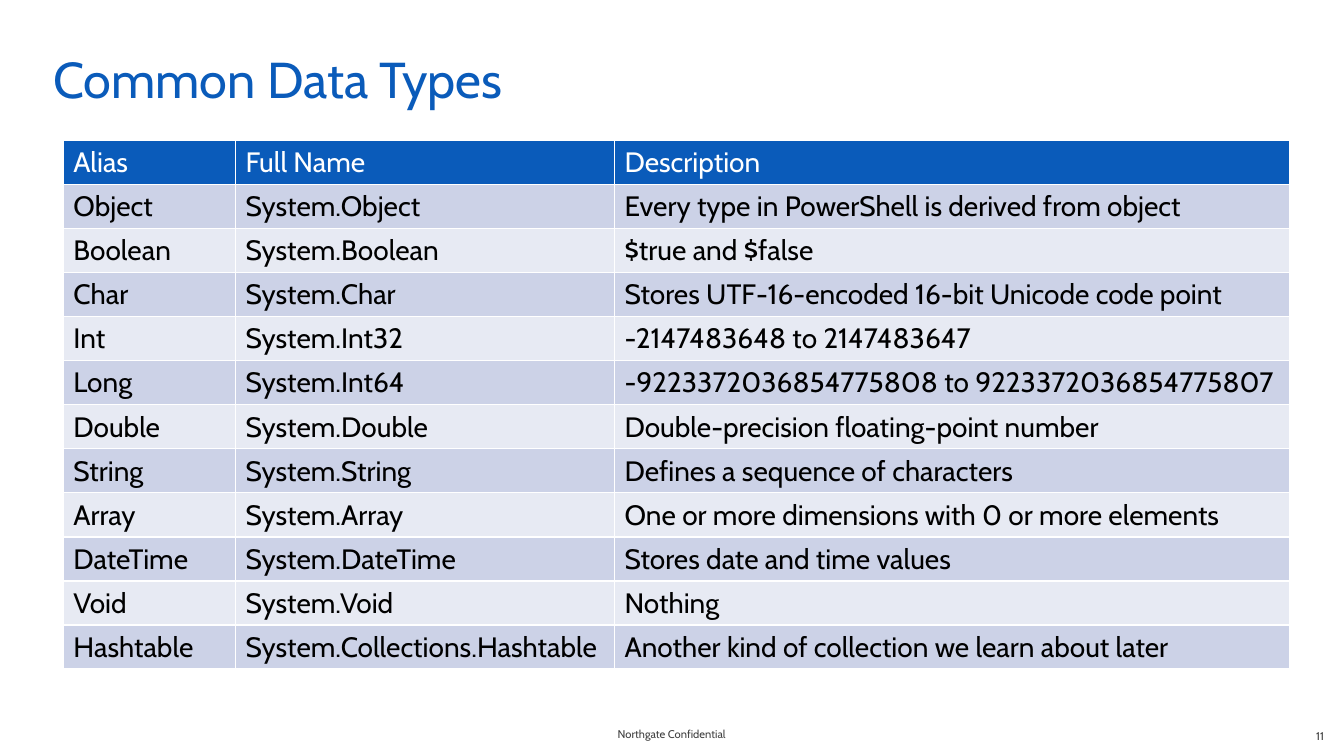
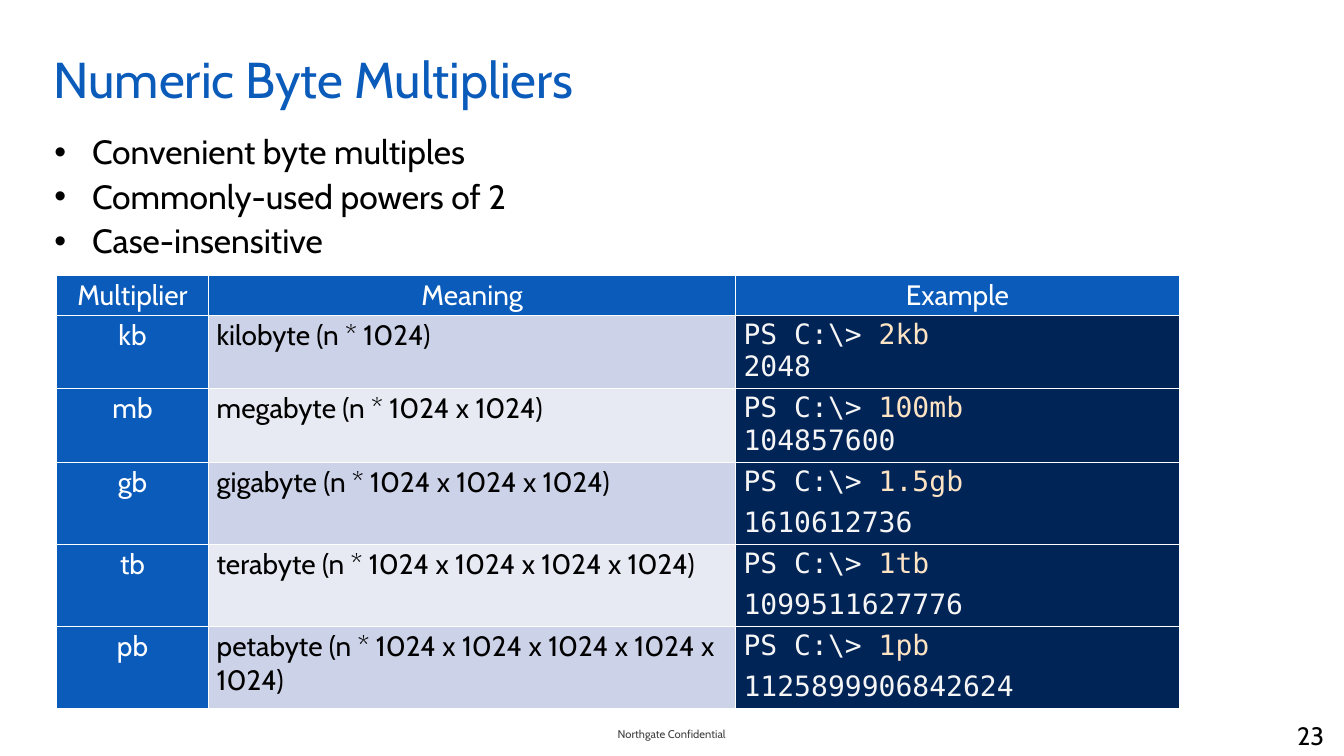
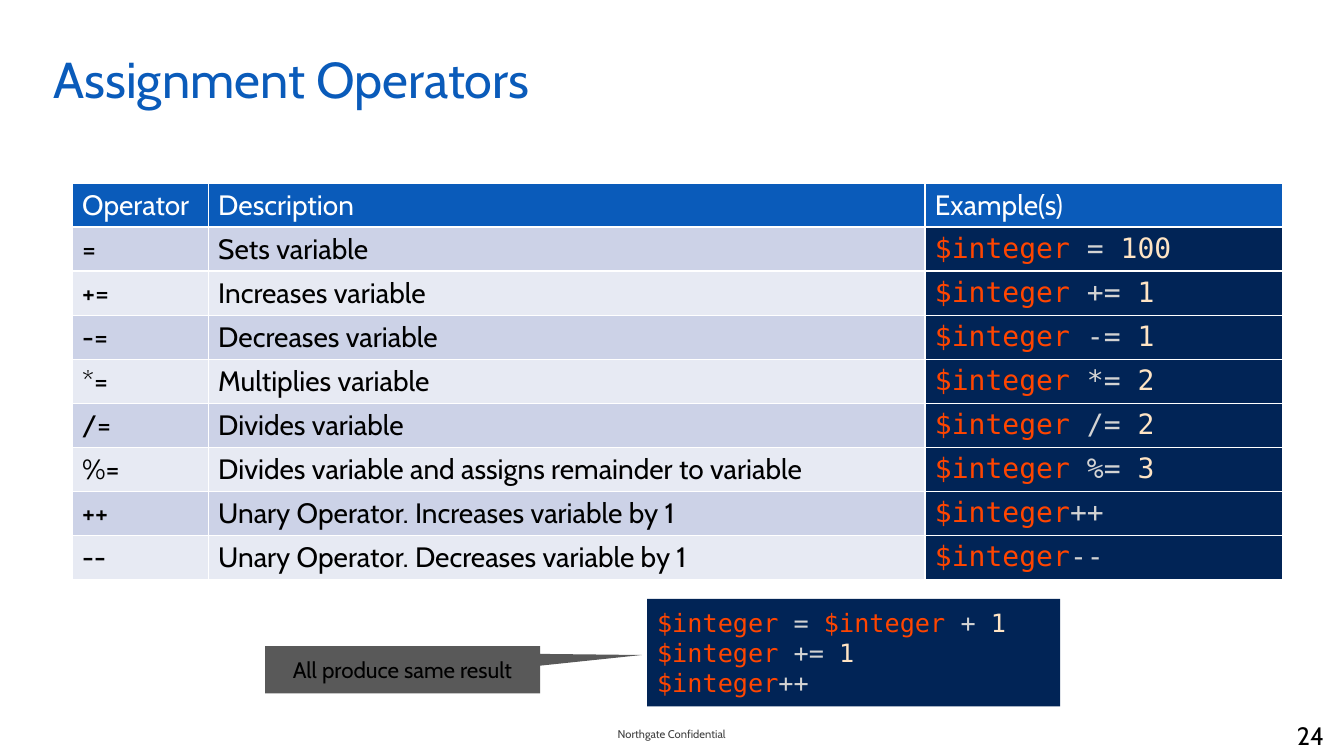
from lxml import etree
from pptx import Presentation
from pptx import util as u
from pptx.dml.color import RGBColor
from pptx.enum import shapes, text
from pptx.oxml import ns

BLUE = RGBColor(0x0A, 0x5B, 0xBA)
NAVY = RGBColor(0x01, 0x24, 0x56)
BAND_DARK = RGBColor(0xCC, 0xD2, 0xE7)
BAND_LIGHT = RGBColor(0xE7, 0xEA, 0xF3)
WHITE = RGBColor(0xFF, 0xFF, 0xFF)
BLACK = RGBColor(0, 0, 0)
GREY = RGBColor(0x59, 0x59, 0x59)
FOOTER_GREY = RGBColor(0x3F, 0x3F, 0x3F)
PROMPT = RGBColor(0xF5, 0xF5, 0xF5)
VARIABLE = RGBColor(0xFF, 0x45, 0x00)
OPERATOR = RGBColor(0xD3, 0xD3, 0xD3)
NUMBER = RGBColor(0xFF, 0xE4, 0xC4)

SANS = "Cabin"
MONO = "DejaVu Sans Mono"
LEFT, CENTER, RIGHT = (text.PP_ALIGN.LEFT, text.PP_ALIGN.CENTER,
                       text.PP_ALIGN.RIGHT)
TOP, MIDDLE = text.MSO_ANCHOR.TOP, text.MSO_ANCHOR.MIDDLE


def margins(left, top, right, bottom):
    return {"margin_left": u.Cm(left), "margin_top": u.Cm(top),
            "margin_right": u.Cm(right), "margin_bottom": u.Cm(bottom)}


STANDARD = margins(0.25, 0.13, 0.25, 0.13)
TIGHT = margins(0.2, 0.08, 0.2, 0.08)
FOOTER_FRAME = {"word_wrap": True, "vertical_anchor": MIDDLE,
                **margins(0.51, 0.13, 0.51, 0.13)}
TITLE_FRAME = {"word_wrap": True, "vertical_anchor": TOP,
               "auto_size": text.MSO_AUTO_SIZE.NONE,
               **margins(0.51, 0.38, 0.25, 0.13)}


def apply(target, values):
    for name, value in values.items():
        setattr(target, name, value)


def place(left, top, width, height):
    return [u.Cm(value) for value in (left, top, width, height)]


def write(frame, lines, size, face=SANS, align=LEFT, after=0, before=0):
    for index, spans in enumerate(lines):
        para = frame.paragraphs[0] if index == 0 else frame.add_paragraph()
        apply(para, {"alignment": align, "space_after": u.Pt(after),
                     "space_before": u.Pt(before)})
        for words, colour in spans:
            span = para.add_run()
            span.text = words
            apply(span.font, {"name": face, "size": u.Pt(size), "bold": False})
            span.font.color.rgb = colour


def add_text(page, area, lines, size, frame_format, **style):
    box = page.shapes.add_textbox(*place(*area))
    apply(box.text_frame, frame_format)
    write(box.text_frame, lines, size, **style)
    return box


def add_page(deck, heading, number, number_size, number_colour):
    page = deck.slides.add_slide(deck.slide_layouts[5])
    title = page.shapes.title
    apply(title, dict(zip(("left", "top", "width", "height"),
                          place(0.84, 0.84, 31.32, 1.9))))
    apply(title.text_frame, TITLE_FRAME)
    write(title.text_frame, [[(heading, BLUE)]], 36)
    add_text(page, (12.98, 17.98, 7.9, 1.02),
             [[("Northgate Confidential", FOOTER_GREY)]], 8, FOOTER_FRAME,
             align=CENTER)
    add_text(page, (25.98, 18.03, 7.9, 1.02), [[(number, number_colour)]],
             number_size, FOOTER_FRAME, align=RIGHT)
    return page


def add_bullets(page, area, items):
    box = add_text(page, area, [[(item, BLACK)] for item in items], 24,
                   {"word_wrap": True, **STANDARD}, before=3)
    for para in box.text_frame.paragraphs:
        properties = para._p.get_or_add_pPr()
        properties.set("marL", str(u.Cm(0.95)))
        properties.set("indent", str(-u.Cm(0.95)))
        for tag, name, value in (("a:buFont", "typeface", "Arial"),
                                 ("a:buChar", "char", "•")):
            etree.SubElement(properties, ns.qn(tag)).set(name, value)


def draw_borders(cell):
    properties = cell._tc.get_or_add_tcPr()
    for side in ("a:lnL", "a:lnR", "a:lnT", "a:lnB"):
        line = etree.SubElement(properties, ns.qn(side), w=str(u.Pt(1)))
        fill = etree.SubElement(line, ns.qn("a:solidFill"))
        etree.SubElement(fill, ns.qn("a:srgbClr"), val=str(WHITE))


def add_grid(page, left, top, widths, heights, rows, inset=STANDARD,
             head_align=LEFT, head_column=False, after=0):
    frame = page.shapes.add_table(
        len(rows), len(widths),
        *place(left, top, sum(widths), sum(heights)))
    table = frame.table
    apply(table, {"first_row": False, "horz_banding": False})
    for column, width in zip(table.columns, widths):
        column.width = u.Cm(width)
    for row, height in zip(table.rows, heights):
        row.height = u.Cm(height)
    for r, row in enumerate(rows):
        for c, content in enumerate(row):
            cell = table.cell(r, c)
            apply(cell, inset)
            draw_borders(cell)
            style = {"after": after}
            if not isinstance(content, str):
                fill, style["face"] = NAVY, MONO
            elif r == 0 or (head_column and c == 0):
                fill, style["align"] = BLUE, head_align
                content = [[(content, WHITE)]]
            else:
                fill = BAND_DARK if r % 2 else BAND_LIGHT
                content = [[(content, BLACK)]]
            cell.fill.solid()
            cell.fill.fore_color.rgb = fill
            write(cell.text_frame, content, 20, **style)


def add_panel(page, kind, area, fill, lines, size, **style):
    panel = page.shapes.add_shape(kind, *place(*area))
    panel.shadow.inherit = False
    panel.fill.solid()
    panel.fill.fore_color.rgb = fill
    panel.line.fill.background()
    apply(panel.text_frame, {"word_wrap": True, "vertical_anchor": MIDDLE,
                             **STANDARD})
    write(panel.text_frame, lines, size, **style)
    return panel


def console(command, result):
    return [[("PS C:\\> ", PROMPT), (command, NUMBER)], [(result, PROMPT)]]


def assignment(operator, value):
    return [("$integer ", VARIABLE), (operator + " ", OPERATOR),
            (value, NUMBER)]


def unary(operator):
    return [("$integer", VARIABLE), (operator, OPERATOR)]


def build_data_types(deck):
    page = add_page(deck, "Common Data Types", "11", 8, FOOTER_GREY)
    rows = [
        ("Alias", "Full Name", "Description"),
        ("Object", "System.Object",
         "Every type in PowerShell is derived from object"),
        ("Boolean", "System.Boolean", "$true and $false"),
        ("Char", "System.Char",
         "Stores UTF-16-encoded 16-bit Unicode code point"),
        ("Int", "System.Int32", "-2147483648 to 2147483647"),
        ("Long", "System.Int64",
         "-9223372036854775808 to 9223372036854775807"),
        ("Double", "System.Double", "Double-precision floating-point number"),
        ("String", "System.String", "Defines a sequence of characters"),
        ("Array", "System.Array",
         "One or more dimensions with 0 or more elements"),
        ("DateTime", "System.DateTime", "Stores date and time values"),
        ("Void", "System.Void", "Nothing"),
        ("Hashtable", "System.Collections.Hashtable",
         "Another kind of collection we learn about later"),
    ]
    add_grid(page, 1.6, 3.54, (4.34, 9.55, 17.02), [1.11] * len(rows), rows)


def build_multipliers(deck):
    page = add_page(deck, "Numeric Byte Multipliers", "23", 18, BLACK)
    add_bullets(page, (1.12, 3.18, 31.04, 3.96),
                ("Convenient byte multiples", "Commonly-used powers of 2",
                 "Case-insensitive"))
    examples = [
        ("kb", "kilobyte", "2kb", "2048"),
        ("mb", "megabyte", "100mb", "104857600"),
        ("gb", "gigabyte", "1.5gb", "1610612736"),
        ("tb", "terabyte", "1tb", "1099511627776"),
        ("pb", "petabyte", "1pb", "1125899906842624"),
    ]
    rows = [("Multiplier", "Meaning", "Example")]
    for power, (unit, name, command, result) in enumerate(examples, 1):
        factors = " x ".join(["1024"] * power)
        rows.append((unit, f"{name} (n * {factors})",
                     console(command, result)))
    for row in rows[3:]:
        row[2][0][-1:] = [row[2][0][-1]]
    add_grid(page, 1.42, 6.93, (3.84, 13.28, 11.18),
             (1.01, 1.79, 1.79, 2, 2, 2), rows, inset=TIGHT,
             head_align=CENTER, head_column=True)
    grid = page.shapes[-1].table
    for r in range(3, len(rows)):
        grid.cell(r, 2).text_frame.paragraphs[0].space_after = u.Pt(6)


def build_operators(deck):
    page = add_page(deck, "Assignment Operators", "24", 18, BLACK)
    rows = [("Operator", "Description", "Example(s)")]
    for operator, meaning, value in (
            ("=", "Sets variable", "100"),
            ("+=", "Increases variable", "1"),
            ("-=", "Decreases variable", "1"),
            ("*=", "Multiplies variable", "2"),
            ("/=", "Divides variable", "2"),
            ("%=", "Divides variable and assigns remainder to variable", "3")):
        rows.append((operator, meaning, [assignment(operator, value)]))
    for operator, change in (("++", "Increases"), ("--", "Decreases")):
        rows.append((operator, f"Unary Operator. {change} variable by 1",
                     [unary(operator)]))
    add_grid(page, 1.82, 4.61, (3.43, 18.06, 9.02), [1.11] * len(rows), rows)
    kinds = shapes.MSO_SHAPE
    sum_line = [("$integer ", VARIABLE), ("= ", OPERATOR),
                *assignment("+", "1")]
    add_panel(page, kinds.RECTANGLE, (16.31, 15.09, 10.41, 2.71), NAVY,
              [sum_line, assignment("+=", "1"), unary("++")], 18, face=MONO)
    callout = add_panel(page, kinds.RECTANGULAR_CALLOUT,
                        (6.68, 16.28, 6.93, 1.19), GREY,
                        [[("All produce same result", BLACK)]], 16,
                        align=CENTER)
    callout.adjustments[0] = 0.87
    callout.adjustments[1] = -0.31


def main():
    deck = Presentation()
    apply(deck, {"slide_width": u.Cm(33.87), "slide_height": u.Cm(19.05)})
    build_data_types(deck)
    build_multipliers(deck)
    build_operators(deck)
    deck.save("out.pptx")


if __name__ == "__main__":
    main()
